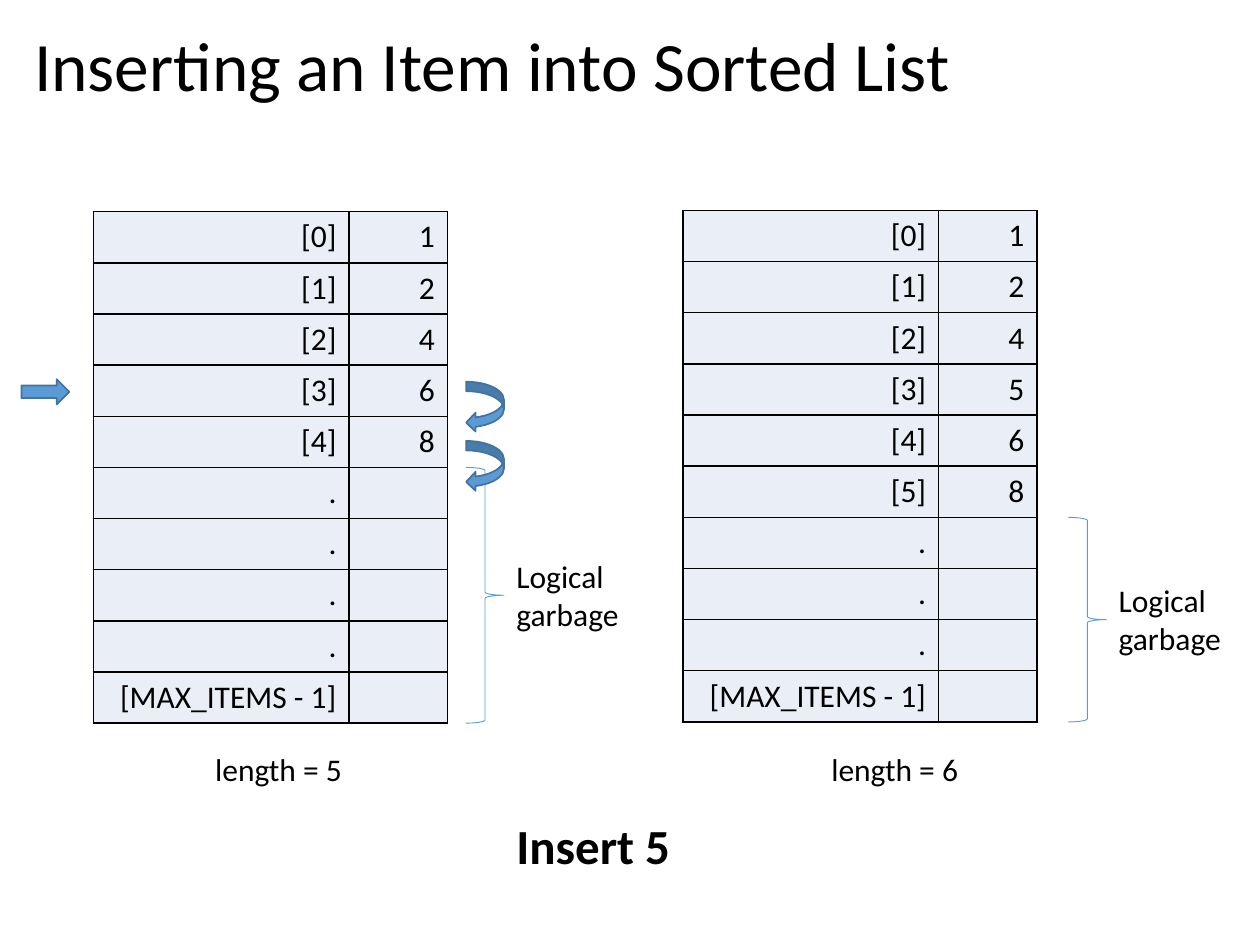
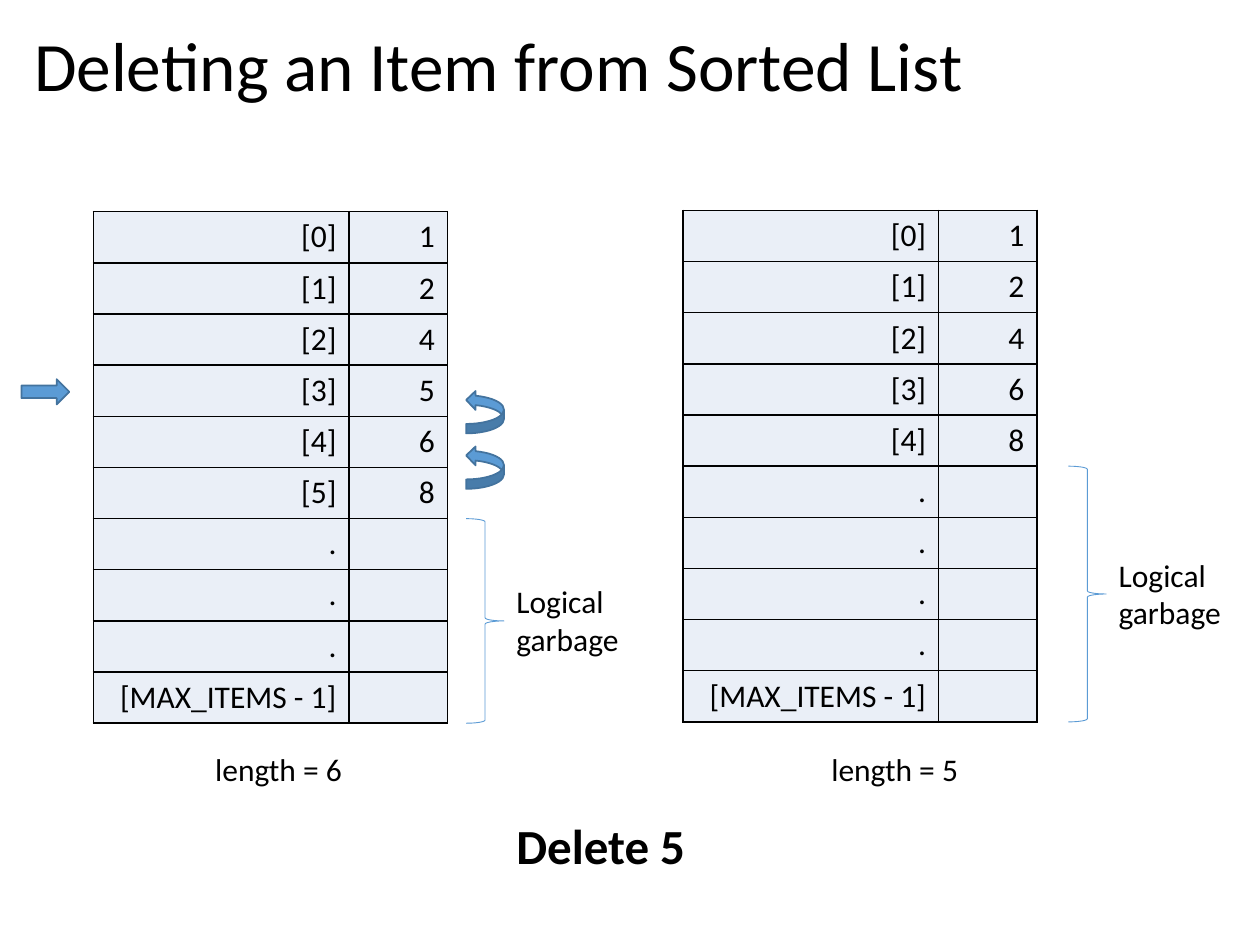
import pptx
import pptx.util
import pptx.dml.color
import pptx.enum.shapes
import pptx.enum.text
import pptx.oxml
import pptx.oxml.ns

INK = {"text": "000000", "cell": "EAEFF7", "blue": "5B9BD5", "edge": "43739E"}
FONT = "Calibri"
COLS, ROWS = 100, 75
STEP = 4.06
SLOTS = 10
KIND = pptx.enum.shapes.MSO_SHAPE
ALIGN = pptx.enum.text.PP_ALIGN
FIT = pptx.enum.text.MSO_AUTO_SIZE

deck = pptx.Presentation()
deck.slide_width = pptx.util.Inches(10)
deck.slide_height = pptx.util.Inches(7.5)


def tone(name):
    """Return a palette colour."""
    return pptx.dml.color.RGBColor.from_string(INK[name])


def span(x, y, w, h):
    """Turn grid columns and rows into slide lengths."""
    col, row = deck.slide_width / COLS, deck.slide_height / ROWS
    return [round(v) for v in (x * col, y * row, w * col, h * row)]


def write(frame, text, size=18, bold=False, align=ALIGN.LEFT, lead=None):
    """Put formatted text in a text frame."""
    para = frame.paragraphs[0]
    para.alignment = align
    para.line_spacing = lead
    run = para.add_run()
    run.text = text
    run.font.size = pptx.util.Pt(size)
    run.font.name = FONT
    run.font.bold = bold
    run.font.color.rgb = tone("text")


def label(page, box, text, **style):
    """Add a wrapped text box."""
    frame = page.shapes.add_textbox(*span(*box)).text_frame
    frame.word_wrap = True
    frame.auto_size = FIT.SHAPE_TO_FIT_TEXT
    write(frame, text, **style)


def figure(page, kind, box, fill="blue", line="edge", width=1, flip=False):
    """Add a preset shape, with an optional vertical flip."""
    shape = page.shapes.add_shape(kind, *span(*box))
    shape.shadow.inherit = False
    if fill:
        shape.fill.solid()
        shape.fill.fore_color.rgb = tone(fill)
    else:
        shape.fill.background()
    shape.line.color.rgb = tone(line)
    shape.line.width = pptx.util.Pt(width)
    if flip:
        shape.element.spPr.find(pptx.oxml.ns.qn("a:xfrm")).set("flipV", "1")


def border(cell):
    """Draw a thin line on each side of a cell."""
    props = cell._tc.get_or_add_tcPr()
    for side in "LRTB":
        props.append(pptx.oxml.parse_xml(
            f'<a:ln{side} {pptx.oxml.ns.nsdecls("a")} w="12700"><a:solidFill>'
            f'<a:srgbClr val="{INK["text"]}"/></a:solidFill></a:ln{side}>'))


def grid(page, box, items):
    """Add the array table with its indexes and items."""
    table = page.shapes.add_table(SLOTS, 2, *span(*box)).table
    table.first_row = table.horz_banding = False
    for col, part in zip(table.columns, (20.3, 7.8)):
        col.width = span(0, 0, part, 0)[2]
    for n in range(SLOTS):
        name = f"[{n}]" if n < len(items) else "."
        if n == SLOTS - 1:
            name = "[MAX_ITEMS - 1]"
        value = str(items[n]) if n < len(items) else ""
        for k, text in enumerate((name, value)):
            cell = table.cell(n, k)
            border(cell)
            cell.fill.solid()
            cell.fill.fore_color.rgb = tone("cell")
            if text:
                write(cell.text_frame, text, align=ALIGN.RIGHT)


def panel(page, box, items, gap, inset):
    """Add an array, the brace on its unused part and its length."""
    x, y, w, h = box
    grid(page, box, items)
    used = len(items) * STEP
    left, top, tall = x + w + gap, y + used, h - used
    figure(page, KIND.RIGHT_BRACE, (left, top, 3, tall),
           fill=None, line="blue", width=0.5)
    label(page, (left + 3, top + tall / 2 - 3.55, 11.2, 7.1), "Logical garbage")
    label(page, (x + inset, 59, 13.7, 4), f"length = {len(items)}")


def heading(page, box, text):
    """Place and fill the title."""
    title = page.shapes.title
    title.left, title.top, title.width, title.height = span(*box)
    frame = title.text_frame
    frame.auto_size = FIT.NONE
    frame.vertical_anchor = pptx.enum.text.MSO_ANCHOR.MIDDLE
    write(frame, text, size=39.6, lead=0.9)


def moves(page, box, pitch, flip):
    """Add the two curved arrows that show items moving."""
    x, y, w, h = box
    for n in (1, 0):
        figure(page, KIND.CURVED_LEFT_ARROW, (x, y + n * pitch, w, h), flip=flip)


def build(title, action, before, after, box, pitch, flip):
    """Make one slide that shows a list before and after an action."""
    page = deck.slides.add_slide(deck.slide_layouts[5])
    heading(page, (1.7, 1.8, 96.2, 7.4), title)
    size = (28.1, STEP * SLOTS)
    panel(page, (7.4, 16.8, *size), before, gap=1.5, inset=8.7)
    panel(page, (54.2, 16.7, *size), after, gap=2.5, inset=10.8)
    label(page, (40, 64.2, 15.7, 5.7), action, size=28, bold=True)
    moves(page, box, pitch, flip)
    figure(page, KIND.RIGHT_ARROW, (1.7, 30.1, 3.8, 2))


SHORT, LONG = [1, 2, 4, 6, 8], [1, 2, 4, 5, 6, 8]
build("Inserting an Item into Sorted List", "Insert 5", SHORT, LONG,
      (37, 30.3, 3, 4), 4.7, False)
build("Deleting an Item from Sorted List", "Delete 5", LONG, SHORT,
      (37, 31, 3, 3.4), 4.4, True)
deck.save("out.pptx")
